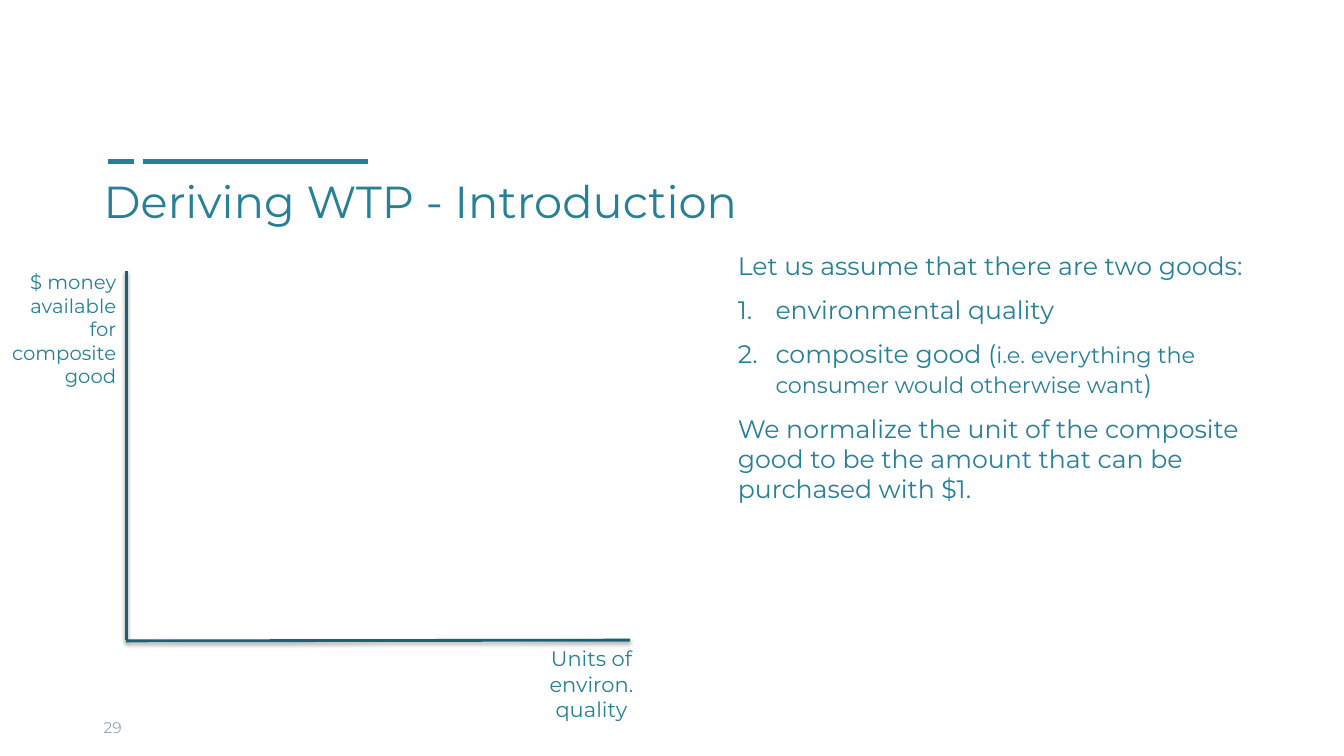
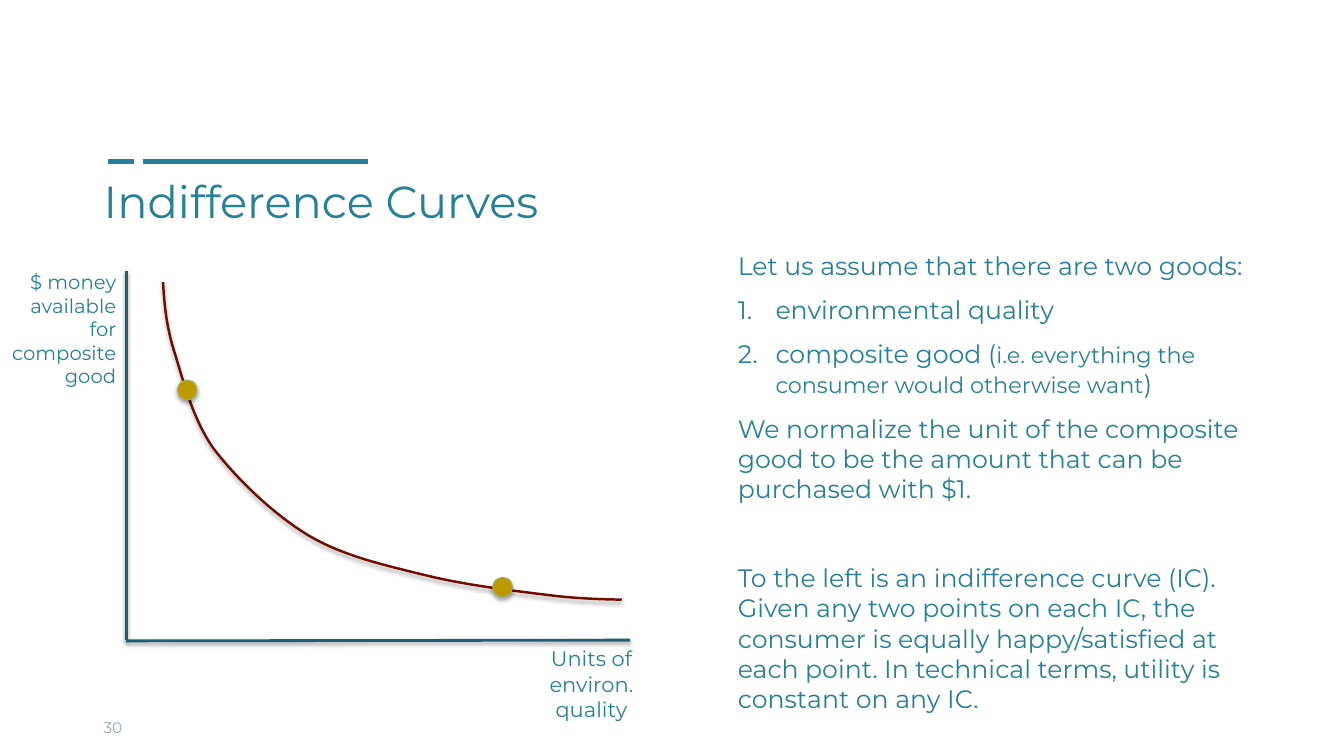
from lxml import etree
from pptx import Presentation
from pptx import util as u
from pptx.dml.color import RGBColor
from pptx.enum import shapes, text
from pptx.oxml.ns import qn

HUES = {
    "teal": "268097", "pale": "8EACB8", "axis": "1D6071",
    "curve": "6F0D00", "dot": "BF9900", "rim": "9EB569",
}
FACE = "Montserrat"
LEFT, RIGHT, CENTER = text.PP_ALIGN.LEFT, text.PP_ALIGN.RIGHT, text.PP_ALIGN.CENTER
HANG = u.Cm(0.95)


def write(frame, words, size=18, hue="teal", align=LEFT, gap=0, num=False):
    para = frame.paragraphs[0] if not frame.text else frame.add_paragraph()
    props = para._p.get_or_add_pPr()
    props.set("marL", str(HANG if num else 0))
    props.set("indent", str(-HANG if num else 0))
    if num:
        etree.SubElement(props, qn("a:buFont"), typeface="+mj-lt")
        etree.SubElement(props, qn("a:buAutoNum"), type="arabicPeriod")
    else:
        etree.SubElement(props, qn("a:buNone"))
    para.alignment = align
    para.space_before = u.Pt(gap)
    for part, pts in [(words, size)] if isinstance(words, str) else words:
        run = para.add_run()
        run.text = part
        run.font.name = FACE
        run.font.size = u.Pt(pts)
        run.font.color.rgb = RGBColor.from_string(HUES[hue])


def stroke(shape, hue, width, dist=0, alpha=0):
    shape.line.color.rgb = RGBColor.from_string(HUES[hue])
    shape.line.width = u.Pt(width)
    props = shape._element.spPr
    for old in props.findall(qn("a:effectLst")):
        props.remove(old)
    effect = etree.SubElement(props, qn("a:effectLst"))
    if dist:
        shade = etree.SubElement(
            effect, qn("a:outerShdw"), blurRad=str(u.Pt(3.1)),
            dist=str(u.Pt(dist)), dir="5400000", rotWithShape="0")
        black = etree.SubElement(shade, qn("a:srgbClr"), val="000000")
        etree.SubElement(black, qn("a:alpha"), val=str(alpha * 1000))


GOODS = [
    ("Let us assume that there are two goods:", {}),
    ("environmental quality", {"gap": 10, "num": True}),
    ([("composite good (", 18),
      ("i.e. everything the consumer would otherwise want", 16),
      (")", 18)], {"gap": 10, "num": True}),
    ("We normalize the unit of the composite good to be the amount "
     "that can be purchased with $1.", {"gap": 10}),
]
UTIL = [
    ("To the left is an indifference curve (IC). Given any two points on each IC, "
     "the consumer is equally happy/satisfied at each point. In technical terms, "
     "utility is constant on any IC.", {"gap": 42}),
]
PAGES = [
    ("Deriving WTP - Introduction", "29", GOODS, False),
    ("Indifference Curves", "30", GOODS + UTIL, True),
]
LINES = [
    (3.61, 4.06, 9.27, 4.06, "teal", 3.5, 0, 0),
    (2.72, 4.06, 3.38, 4.06, "teal", 3.5, 0, 0),
    (3.18, 6.83, 3.18, 16.13, "axis", 2, 1.6, 38),
    (15.88, 16.13, 3.18, 16.15, "axis", 2, 1.6, 38),
]
LABELS = [
    ("Units of environ. quality", (13.51, 16.15, 2.79, 2.18), 15, "teal", CENTER),
    ("$ money available for composite good", (-0.25, 6.68, 3.43, 3.25), 14, "teal", RIGHT),
]
KNOTS = [
    (4.11, 7.11), (4.14, 7.59), (4.17, 8.1), (4.37, 8.79),
    (4.6, 9.5), (4.83, 10.52), (5.38, 11.3),
    (5.97, 12.07), (6.88, 12.95), (7.77, 13.49),
    (8.66, 14.02), (9.73, 14.25), (10.74, 14.5),
    (11.79, 14.76), (13.13, 14.91), (13.94, 15.01),
    (14.78, 15.11), (15.67, 15.11), (15.67, 15.11),
]
DOTS = [(12.42, 14.55), (4.47, 9.58)]
STEPS = 16

trace = []
for k in range(0, len(KNOTS) - 1, 3):
    for step in range(1, STEPS + 1):
        t = step / STEPS
        mix = ((1 - t) ** 3, 3 * t * (1 - t) ** 2, 3 * t * t * (1 - t), t ** 3)
        trace.append(tuple(
            u.Cm(sum(m * knot[axis] for m, knot in zip(mix, KNOTS[k:k + 4])))
            for axis in (0, 1)))

deck = Presentation()
deck.slide_width, deck.slide_height = u.Cm(33.87), u.Cm(19.05)

for name, page, body, curved in PAGES:
    slide = deck.slides.add_slide(deck.slide_layouts[1])
    draw = slide.shapes
    title, goods = slide.placeholders

    for x, y, right, low, hue, width, dist, alpha in LINES:
        line = draw.add_connector(
            shapes.MSO_CONNECTOR.STRAIGHT, u.Cm(x), u.Cm(y), u.Cm(right), u.Cm(low))
        stroke(line, hue, width, dist, alpha)

    for box, place, anchor in (
            (title, (2.36, 4.24, 28.22, 1.65), text.MSO_ANCHOR.MIDDLE),
            (goods, (18.34, 6.17, 14.05, 12.14), text.MSO_ANCHOR.TOP)):
        box.left, box.top, box.width, box.height = map(u.Cm, place)
        box.text_frame.auto_size = text.MSO_AUTO_SIZE.NONE
        box.text_frame.vertical_anchor = anchor
    write(title.text_frame, name, size=32)
    for words, form in body:
        write(goods.text_frame, words, **form)

    if curved:
        pen = draw.build_freeform(*map(u.Cm, KNOTS[0]))
        pen.add_line_segments(trace, close=False)
        curve = pen.convert_to_shape()
        curve.fill.background()
        stroke(curve, "curve", 1.75, 1.8, 35)
        for x, y in DOTS:
            dot = draw.add_shape(
                shapes.MSO_SHAPE.OVAL, u.Cm(x), u.Cm(y), u.Cm(0.5), u.Cm(0.5))
            dot.fill.solid()
            dot.fill.fore_color.rgb = RGBColor.from_string(HUES["dot"])
            stroke(dot, "rim", 0.75, 1.8, 35)

    number = (page, (2.36, 17.81, 7.9, 1.02), 11, "pale", LEFT)
    for words, place, size, hue, align in LABELS + [number]:
        frame = draw.add_textbox(*map(u.Cm, place)).text_frame
        frame.word_wrap = True
        if words == page:
            frame.vertical_anchor = text.MSO_ANCHOR.MIDDLE
        write(frame, words, size=size, hue=hue, align=align)

deck.save("out.pptx")
